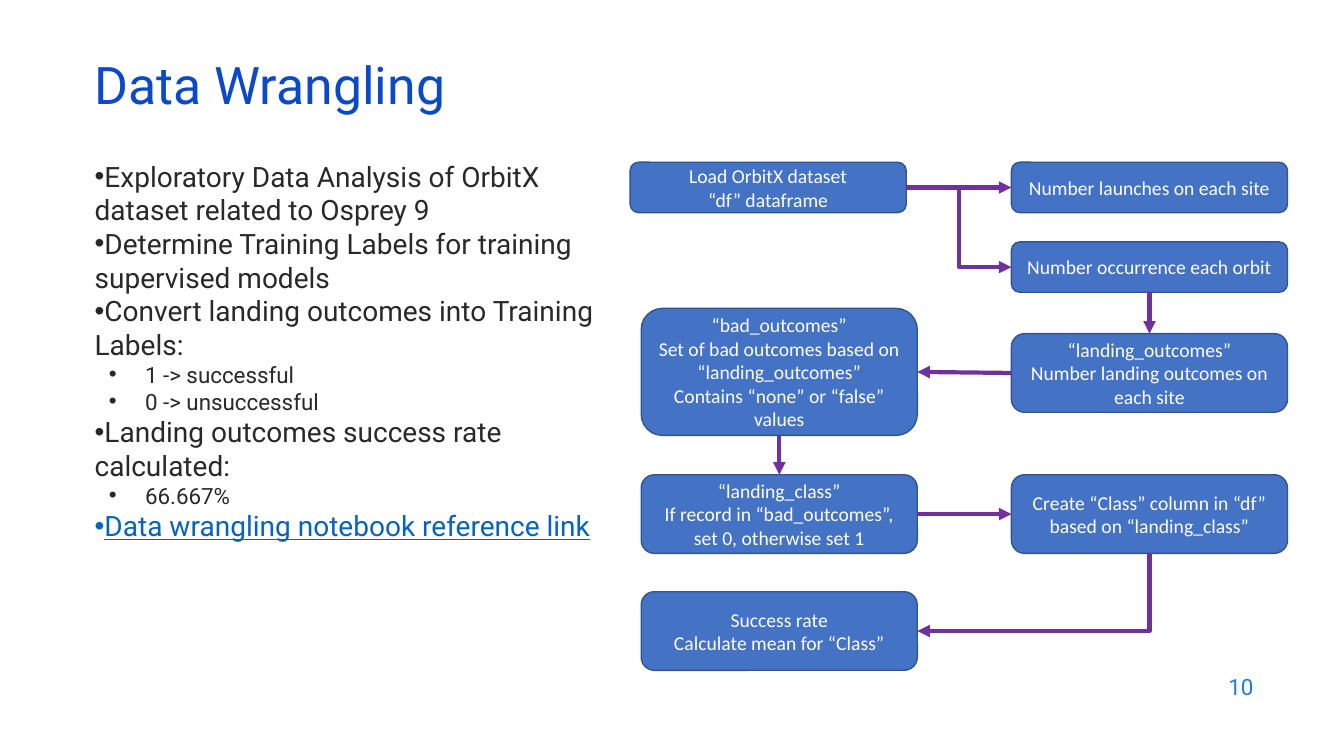
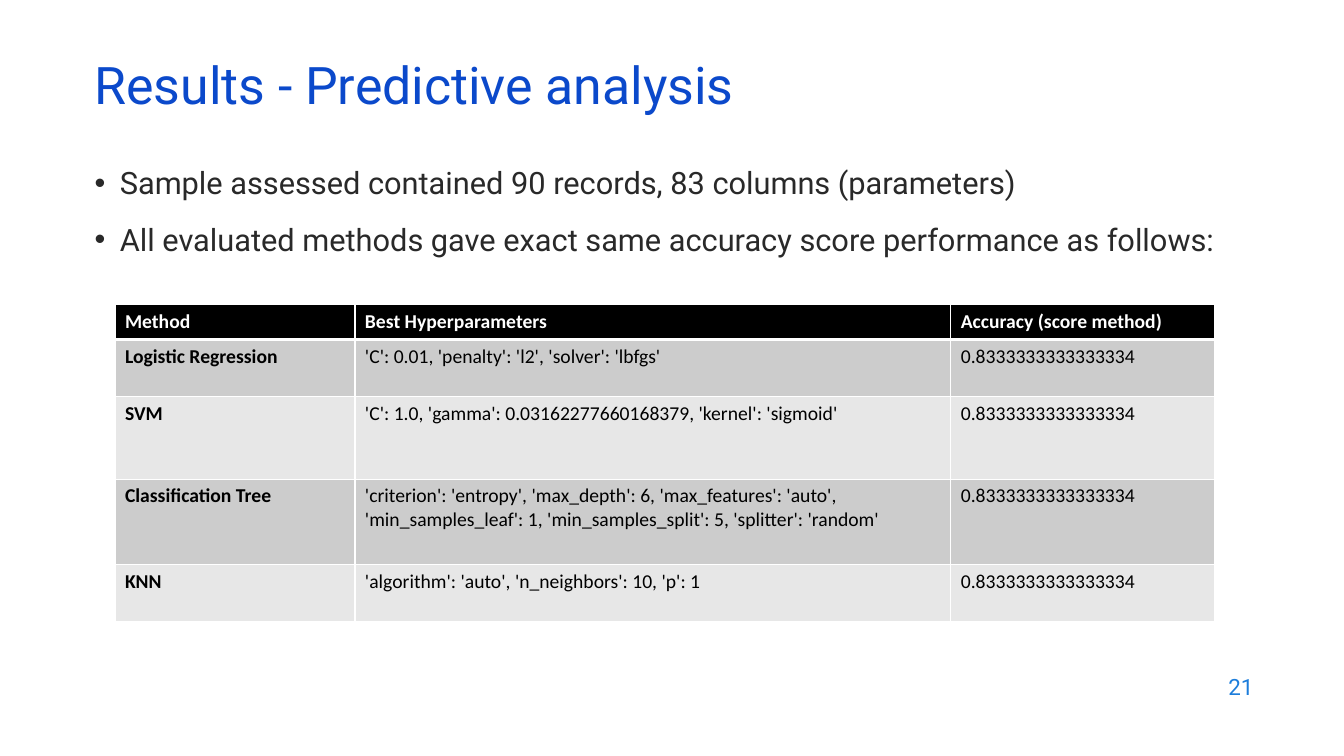
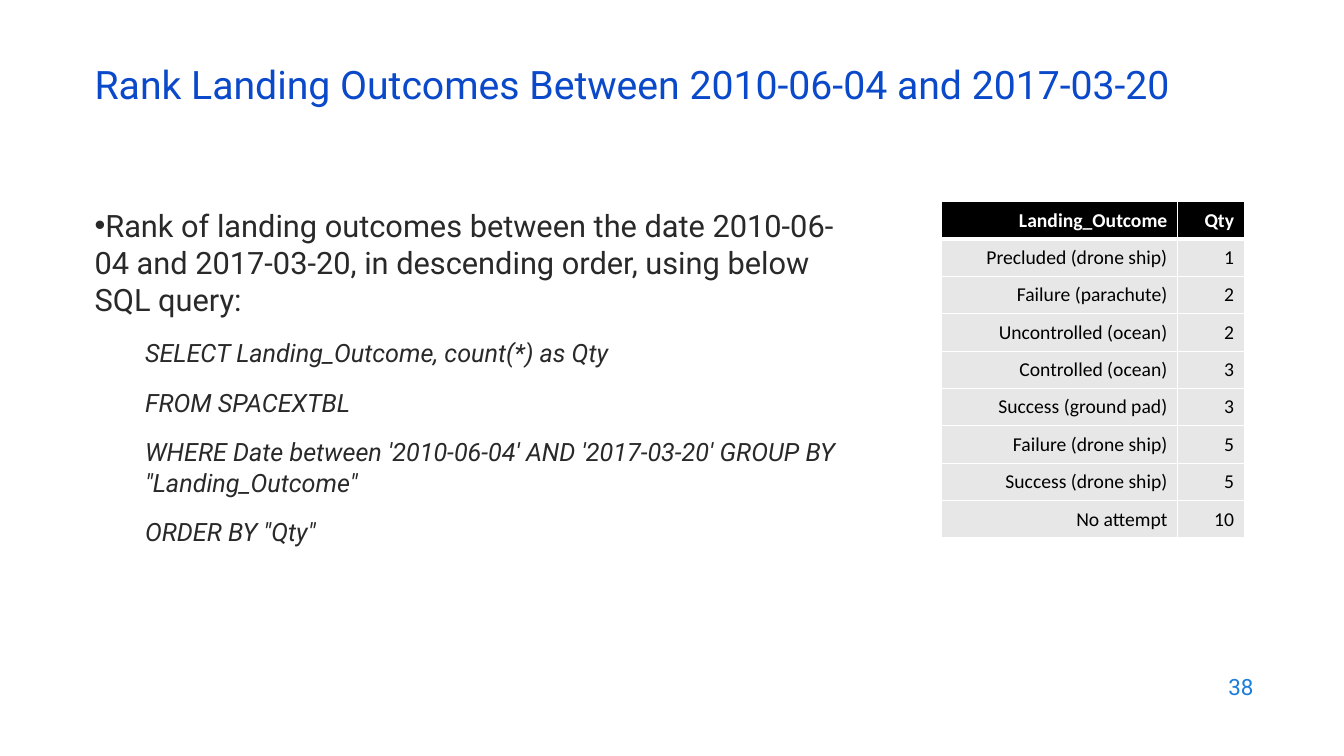
from itertools import accumulate, cycle

from lxml import etree
from pptx import Presentation
from pptx import util as u
from pptx.dml.color import RGBColor
from pptx.enum import shapes, text
from pptx.oxml.ns import qn

WHITE = RGBColor(0xFF, 0xFF, 0xFF)
BLACK = RGBColor(0, 0, 0)
TITLE_BLUE = RGBColor(0x0B, 0x49, 0xCB)
NUMBER_BLUE = RGBColor(0x1C, 0x7D, 0xDB)
LINK_BLUE = RGBColor(0x05, 0x63, 0xC1)
BODY_GREY = RGBColor(0x29, 0x29, 0x29)
STEP_BLUE = RGBColor(0x44, 0x72, 0xC4)
STEP_EDGE = RGBColor(0x32, 0x54, 0x91)
ARROW_PURPLE = RGBColor(0x70, 0x30, 0xA0)
BAND_DARK = RGBColor(0xCC, 0xCC, 0xCC)
BAND_LIGHT = RGBColor(0xE7, 0xE7, 0xE7)

HEADING, DETAIL = "Roboto", "Calibri"
LEFT, CENTER, RIGHT = (text.PP_ALIGN.LEFT, text.PP_ALIGN.CENTER,
                       text.PP_ALIGN.RIGHT)
TOP_ANCHOR, MIDDLE = text.MSO_ANCHOR.TOP, text.MSO_ANCHOR.MIDDLE
TOP, LEFT_SIDE, BOTTOM, RIGHT_SIDE = range(4)

MARGIN = 0.84
TITLE_BOX = (MARGIN, 0.59, 11.5, 0.6)
NUMBER_BOX = (9.53, 6.59, 3, 0.44)

# Paragraph styles: margin and indent in inches, before and size in points
COMPACT_LEAD = dict(size=20, margin=0, indent=0, bullet=True, before=0)
COMPACT_ITEM = dict(size=16, margin=0.5, indent=-0.36, bullet=True, before=0)
COMPACT_LINK = dict(COMPACT_LEAD, color=LINK_BLUE, underline=True)
HANGING = dict(size=22, margin=0.25, indent=-0.25, bullet=True, before=14)
FLUSH = dict(HANGING, margin=0, indent=0)
QUERY = dict(size=18, margin=0.5, indent=0, bullet=False, before=14,
             italic=True)


def inches(box):
    return [u.Inches(length) for length in box]


def write(paragraph, words, size, color, name, **style):
    run = paragraph.add_run()
    run.text = words
    run.font.color.rgb = color
    for key, value in dict(style, size=u.Pt(size), name=name).items():
        setattr(run.font, key, value)


def fill_frame(frame, lines, size, color, name, align=LEFT, spacing=1.0,
               **style):
    frame.word_wrap = True
    for index, words in enumerate(lines):
        paragraph = frame.add_paragraph() if index else frame.paragraphs[0]
        paragraph.alignment = align
        paragraph.line_spacing = spacing
        write(paragraph, words, size, color, name, **style)


def add_label(slide, box, words, **style):
    frame = slide.shapes.add_textbox(*inches(box)).text_frame
    frame.vertical_anchor = MIDDLE
    fill_frame(frame, [words], name=HEADING, **style)


def new_slide(presentation, title, number, size=37, spacing=0.8):
    slide = presentation.slides.add_slide(presentation.slide_layouts[6])
    add_label(slide, TITLE_BOX, title, size=size, color=TITLE_BLUE,
              spacing=spacing)
    add_label(slide, NUMBER_BOX, number, size=16, color=NUMBER_BLUE,
              align=RIGHT)
    return slide


def add_body(slide, box, items):
    """Write (style, words) pairs as the paragraphs of one text box."""
    frame = slide.shapes.add_textbox(*inches(box)).text_frame
    frame.word_wrap = True
    for index, (style, words) in enumerate(items):
        style = dict(style)
        paragraph = frame.add_paragraph() if index else frame.paragraphs[0]
        properties = paragraph._p.get_or_add_pPr()
        properties.set("marL", str(u.Inches(style.pop("margin"))))
        properties.set("indent", str(u.Inches(style.pop("indent"))))
        if style.pop("bullet"):
            etree.SubElement(properties, qn("a:buFont"), typeface="Arial")
            etree.SubElement(properties, qn("a:buChar"), char="•")
        before = style.pop("before")
        paragraph.space_before = u.Pt(before if index else 0)
        write(paragraph, words, **dict(dict(color=BODY_GREY, name=HEADING),
                                       **style))


def add_step(slide, box, lines):
    step = slide.shapes.add_shape(shapes.MSO_SHAPE.ROUNDED_RECTANGLE,
                                  *inches(box))
    step.shadow.inherit = False
    step.fill.solid()
    step.fill.fore_color.rgb = STEP_BLUE
    step.line.color.rgb = STEP_EDGE
    step.line.width = u.Pt(1)
    step.text_frame.vertical_anchor = MIDDLE
    fill_frame(step.text_frame, lines, 14, WHITE, DETAIL, align=CENTER)
    return step


def add_arrow(slide, kind, start, start_side, end, end_side):
    arrow = slide.shapes.add_connector(kind, 0, 0, 0, 0)
    arrow.begin_connect(start, start_side)
    arrow.end_connect(end, end_side)
    arrow.line.color.rgb = ARROW_PURPLE
    arrow.line.width = u.Pt(3)
    etree.SubElement(arrow.line._get_or_add_ln(), qn("a:tailEnd"),
                     type="triangle")
    etree.SubElement(arrow._element.spPr, qn("a:effectLst"))
    return arrow


def turn_single_corner(arrow):
    """Make an elbow run down, then left, with one corner."""
    properties = arrow._element.spPr
    properties.find(qn("a:prstGeom")).set("prst", "bentConnector2")
    across, down = arrow.width, arrow.height
    middle_x, middle_y = arrow.left + across // 2, arrow.top + down // 2
    arrow.left, arrow.top = middle_x - down // 2, middle_y - across // 2
    arrow.width, arrow.height = down, across
    properties.xfrm.flipH = False
    properties.xfrm.rot = 90


def add_flow(slide, box):
    left, top, width, height = box
    step_width = 0.42 * width
    near, inner, far = left, left + 0.11, left + width - step_width
    short, tall = 0.5, 0.78
    plan = {
        "load": (near, 0, short, ["Load OrbitX dataset", "“df” dataframe"]),
        "launches": (far, 0, short, ["Number launches on each site"]),
        "orbits": (far, 0.79, short, ["Number occurrence each orbit"]),
        "outcomes": (far, 1.7, tall, ["“landing_outcomes”",
                     "Number landing outcomes on each site"]),
        "bad": (inner, 1.45, 1.26, ["“bad_outcomes”",
                "Set of bad outcomes based on “landing_outcomes”",
                "Contains “none” or “false” values"]),
        "class": (inner, 3.1, tall, ["“landing_class”",
                  "If record in “bad_outcomes”, set 0, otherwise set 1"]),
        "column": (far, 3.1, tall, ["Create “Class” column in “df”",
                   "based on “landing_class”"]),
        "rate": (inner, height - tall, tall,
                 ["Success rate", "Calculate mean for “Class”"]),
    }
    steps = {name: add_step(slide, (x, top + y, step_width, h), lines)
             for name, (x, y, h, lines) in plan.items()}
    straight, elbow = shapes.MSO_CONNECTOR.STRAIGHT, shapes.MSO_CONNECTOR.ELBOW
    for kind, start, start_side, end, end_side in [
            (straight, "load", RIGHT_SIDE, "launches", LEFT_SIDE),
            (elbow, "load", RIGHT_SIDE, "orbits", LEFT_SIDE),
            (straight, "orbits", BOTTOM, "outcomes", TOP),
            (straight, "outcomes", LEFT_SIDE, "bad", RIGHT_SIDE),
            (straight, "bad", BOTTOM, "class", TOP),
            (straight, "class", RIGHT_SIDE, "column", LEFT_SIDE),
            (elbow, "column", BOTTOM, "rate", RIGHT_SIDE)]:
        arrow = add_arrow(slide, kind, steps[start], start_side,
                          steps[end], end_side)
    turn_single_corner(arrow)


def set_borders(cell, bottom_width):
    properties = cell._tc.get_or_add_tcPr()
    widths = {"a:lnL": 1, "a:lnR": 1, "a:lnT": 1, "a:lnB": bottom_width}
    for index, (tag, width) in enumerate(widths.items()):
        line = etree.Element(qn(tag), w=str(u.Pt(width)))
        fill = etree.SubElement(line, qn("a:solidFill"))
        etree.SubElement(fill, qn("a:srgbClr"), val=str(WHITE))
        properties.insert(index, line)


def shares(total, weights):
    """Split a length by weights, with no rounding gap."""
    edges = [0] + [u.Inches(total * part / sum(weights))
                   for part in accumulate(weights)]
    return [end - start for start, end in zip(edges, edges[1:])]


def add_table(slide, box, columns, heights, rows, bands, align=LEFT,
              anchor=TOP_ANCHOR, bold_first=False):
    """Place a table; columns and heights are weights within the box."""
    table = slide.shapes.add_table(len(rows), len(columns),
                                   *inches(box)).table
    table.horz_banding = False
    for column, width in zip(table.columns, shares(box[2], columns)):
        column.width = width
    for row, height in zip(table.rows, shares(box[3], heights)):
        row.height = height
    band = cycle(bands)
    for row_index, values in enumerate(rows):
        header = row_index == 0
        fill = BLACK if header else next(band)
        for column_index, value in enumerate(values):
            cell = table.cell(row_index, column_index)
            cell.fill.solid()
            cell.fill.fore_color.rgb = fill
            cell.vertical_anchor = anchor
            fill_frame(cell.text_frame, value.split("\n"), 14,
                       WHITE if header else BLACK, DETAIL, align=align,
                       bold=header or (bold_first and column_index == 0))
            set_borders(cell, 3 if header else 1)


def add_wrangling(presentation):
    slide = new_slide(presentation, "Data Wrangling", "10")
    add_body(slide, (MARGIN, 1.53, 5.31, 5.22), [
        (COMPACT_LEAD, "Exploratory Data Analysis of OrbitX dataset related "
                       "to Osprey 9"),
        (COMPACT_LEAD, "Determine Training Labels for training supervised "
                       "models"),
        (COMPACT_LEAD, "Convert landing outcomes into Training Labels:"),
        (COMPACT_ITEM, "1 -> successful"),
        (COMPACT_ITEM, "0 -> unsuccessful"),
        (COMPACT_LEAD, "Landing outcomes success rate calculated:"),
        (COMPACT_ITEM, "66.667%"),
        (COMPACT_LINK, "Data wrangling notebook reference link")])
    add_flow(slide, (6.25, 1.61, 6.52, 5.04))


def add_predictive_results(presentation):
    slide = new_slide(presentation, "Results - Predictive analysis", "21")
    add_body(slide, (MARGIN, 1.58, 11.61, 1.2), [
        (HANGING, "Sample assessed contained 90 records, 83 columns "
                  "(parameters)"),
        (HANGING, "All evaluated methods gave exact same accuracy score "
                  "performance as follows:")])
    methods = {
        "Logistic Regression": "'C': 0.01, 'penalty': 'l2', "
                               "'solver': 'lbfgs'",
        "SVM": "'C': 1.0, 'gamma': 0.03162277660168379, "
               "'kernel': 'sigmoid'",
        "Classification Tree":
            "'criterion': 'entropy', 'max_depth': 6, "
            "'max_features': 'auto',\n'min_samples_leaf': 1, "
            "'min_samples_split': 5, 'splitter': 'random'",
        "KNN": "'algorithm': 'auto', 'n_neighbors': 10, 'p': 1",
    }
    header = ("Method", "Best Hyperparameters", "Accuracy (score method)")
    rows = [header] + [(method, best, "0.8333333333333334")
                       for method, best in methods.items()]
    add_table(slide, (1.14, 3.02, 10.91, 3.15), (2.38, 5.91, 2.62),
              (0.35, 0.57, 0.82, 0.85, 0.57), rows,
              (BAND_DARK, BAND_LIGHT), bold_first=True)


def add_outcome_ranking(presentation):
    slide = new_slide(
        presentation,
        "Rank Landing Outcomes Between 2010-06-04 and 2017-03-20", "38",
        size=28, spacing=0.7)
    add_body(slide, (MARGIN, 2, 7.59, 4.76), [
        (FLUSH, "Rank of landing outcomes between the date 2010-06-04 and "
                "2017-03-20, in descending order, using below SQL query:"),
        (QUERY, "SELECT Landing_Outcome, count(*) as Qty"),
        (QUERY, "FROM SPACEXTBL"),
        (QUERY, "WHERE Date between '2010-06-04' AND '2017-03-20' "
                "GROUP BY \"Landing_Outcome\""),
        (QUERY, "ORDER BY \"Qty\"")])
    rows = [("Landing_Outcome", "Qty"),
            ("Precluded (drone ship)", "1"),
            ("Failure (parachute)", "2"),
            ("Uncontrolled (ocean)", "2"),
            ("Controlled (ocean)", "3"),
            ("Success (ground pad)", "3"),
            ("Failure (drone ship)", "5"),
            ("Success (drone ship)", "5"),
            ("No attempt", "10")]
    add_table(slide, (9.34, 2, 3, 3.34), (2.34, 0.66), [1] * len(rows), rows,
              (BAND_LIGHT,), align=RIGHT, anchor=MIDDLE)


def main():
    presentation = Presentation()
    presentation.slide_width = u.Inches(13.33)
    presentation.slide_height = u.Inches(7.5)
    add_wrangling(presentation)
    add_predictive_results(presentation)
    add_outcome_ranking(presentation)
    presentation.save("out.pptx")


if __name__ == "__main__":
    main()
